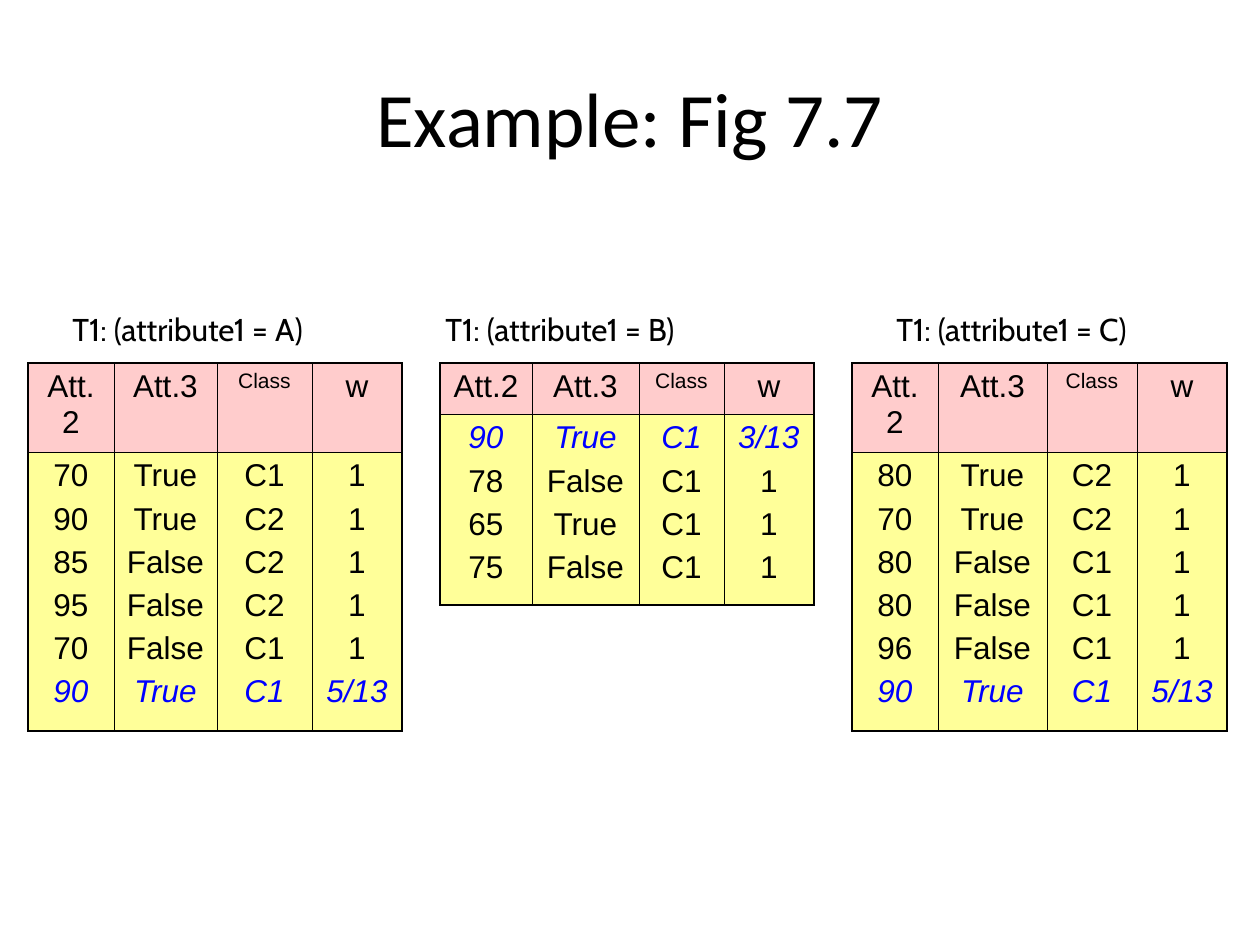
from lxml.etree import SubElement
from pptx import Presentation
from pptx.dml.color import RGBColor
from pptx.enum.text import MSO_ANCHOR as ANCHOR, MSO_AUTO_SIZE as AUTO, PP_ALIGN as ALIGN
from pptx.oxml.ns import qn
from pptx.util import Pt

PX = 914400 / 126
BLACK = RGBColor(0x00, 0x00, 0x00)
BLUE = RGBColor(0x00, 0x00, 0xFF)
PINK = RGBColor(0xFF, 0xCC, 0xCC)
YELLOW = RGBColor(0xFF, 0xFF, 0x99)
OUTER, INNER = 1.08, 0.45
HEADERS = ("Att.2", "Att.3", "Class", "w")
TABLE_TOP, LABEL_TOP = 363, 304

PARTITIONS = [
    ("A", 28, 60, (86, 103, 95, 90), (89, 279), [
        ("70", "True", "C1", "1"),
        ("90", "True", "C2", "1"),
        ("85", "False", "C2", "1"),
        ("95", "False", "C2", "1"),
        ("70", "False", "C1", "1"),
        ("90", "True", "C1", "5/13"),
    ]),
    ("B", 440, 433, (92, 107, 85, 90), (51, 191), [
        ("90", "True", "C1", "3/13"),
        ("78", "False", "C1", "1"),
        ("65", "True", "C1", "1"),
        ("75", "False", "C1", "1"),
    ]),
    ("C", 852, 884, (86, 109, 90, 90), (89, 279), [
        ("80", "True", "C2", "1"),
        ("70", "True", "C2", "1"),
        ("80", "False", "C1", "1"),
        ("80", "False", "C1", "1"),
        ("96", "False", "C1", "1"),
        ("90", "True", "C1", "5/13"),
    ]),
]


def emu(px):
    return round(px * PX)


def write(p, text, font="Arial", size=18, color=BLACK, italic=False,
          align=ALIGN.CENTER, before=0):
    p.alignment = align
    p.space_before = Pt(before)
    r = p.add_run()
    r.text = text
    r.font.name = font
    r.font.size = Pt(size)
    r.font.color.rgb = color
    r.font.italic = italic


def set_borders(cell, widths):
    tc_pr = cell._tc.get_or_add_tcPr()
    for i, (side, width) in enumerate(widths.items()):
        ln = SubElement(tc_pr, qn(f"a:ln{side}"), w=str(Pt(width)))
        fill = SubElement(ln, qn("a:solidFill"))
        SubElement(fill, qn("a:srgbClr"), val=str(BLACK))
        tc_pr.insert(i, ln)


class SlideBuilder:
    def __init__(self, slide):
        self.slide = slide

    def text(self, box, text, anchor=ANCHOR.TOP, wrap=True, auto=AUTO.NONE, **style):
        tf = self.slide.shapes.add_textbox(*map(emu, box)).text_frame
        tf.word_wrap = wrap
        tf.auto_size = auto
        tf.vertical_anchor = anchor
        write(tf.paragraphs[0], text, **style)

    def table(self, x, y, cols, heights, records):
        box = map(emu, (x, y, sum(cols), sum(heights)))
        table = self.slide.shapes.add_table(2, len(cols), *box).table
        table.first_row = table.horz_banding = False
        for row, height in zip(table.rows, heights):
            row.height = emu(height)
        for i, width in enumerate(cols):
            table.columns[i].width = emu(width)
            head, body = table.cell(0, i), table.cell(1, i)
            small = HEADERS[i] == "Class"
            write(head.text_frame.paragraphs[0], HEADERS[i],
                  size=12 if small else 18, before=3 if small else 4.5)
            for j, record in enumerate(records):
                tf = body.text_frame
                p = tf.add_paragraph() if j else tf.paragraphs[0]
                weighted = "/" in record[-1]
                write(p, record[i], before=4.5, italic=weighted,
                      color=BLUE if weighted else BLACK)
            left = OUTER if i == 0 else INNER
            right = OUTER if i == len(cols) - 1 else INNER
            for cell, fill, top, bottom in ((head, PINK, OUTER, INNER),
                                            (body, YELLOW, INNER, OUTER)):
                cell.fill.solid()
                cell.fill.fore_color.rgb = fill
                set_borders(cell, {"L": left, "R": right, "T": top, "B": bottom})


def main():
    prs = Presentation()
    prs.slide_width, prs.slide_height = emu(1260), emu(945)
    s = SlideBuilder(prs.slides.add_slide(prs.slide_layouts[6]))
    s.text((63, 38, 1134, 158), "Example: Fig 7.7", anchor=ANCHOR.MIDDLE,
           font="Calibri", size=44)
    for value, x, label_x, cols, heights, records in PARTITIONS:
        s.table(x, TABLE_TOP, cols, heights, records)
        s.text((label_x, LABEL_TOP, 298, 50), f"T1: (attribute1 = {value})",
               wrap=False, auto=AUTO.SHAPE_TO_FIT_TEXT, font="Cabin", align=ALIGN.LEFT)
    prs.save("out.pptx")


if __name__ == "__main__":
    main()
